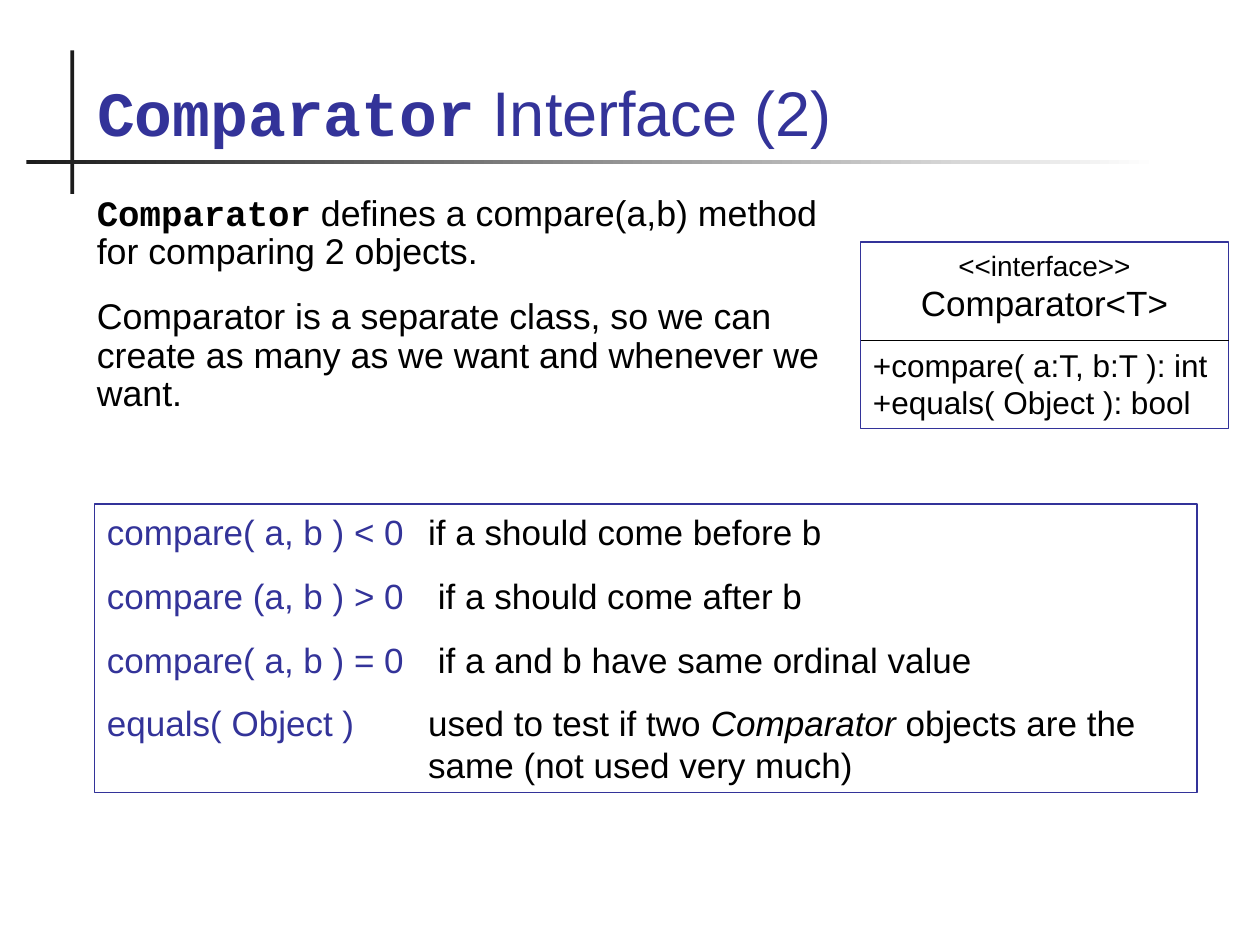
from dataclasses import dataclass

from lxml.etree import SubElement
from pptx import Presentation
from pptx.dml.color import RGBColor as Color
from pptx.enum.shapes import MSO_CONNECTOR as Connector, MSO_SHAPE as Shape
from pptx.enum.text import MSO_ANCHOR as Anchor, MSO_AUTO_SIZE as AutoSize, PP_ALIGN as Align
from pptx.oxml.ns import qn
from pptx.util import Inches, Pt


@dataclass(frozen=True)
class Theme:
    """Colours, typefaces and type sizes of the slide."""
    accent: Color = Color(0x33, 0x33, 0x99)
    ink: Color = Color(0, 0, 0)
    rule: Color = Color(0x1C, 0x1C, 0x1C)
    paper: Color = Color(0xFF, 0xFF, 0xFF)
    sans: str = "Arial"
    mono: str = "Courier New"
    title: float = 36
    body: float = 20.4
    text: float = 20
    member: float = 18
    stereotype: float = 16
    outline: float = 0.75


class SlideBuilder:
    """Draws styled elements on the current slide."""

    def __init__(self, slide, theme):
        self.slide, self.theme = slide, theme

    def bar(self, left, top, width, height, fades=False):
        """Add a thin bar, solid or fading to the right."""
        bar = self.slide.shapes.add_shape(Shape.RECTANGLE, *map(Inches, (left, top, width, height)))
        bar.shadow.inherit = False
        bar.line.fill.background()
        if fades:
            bar.fill.gradient()
            bar.fill.gradient_angle = 0
            for stop, color in zip(bar.fill.gradient_stops, (self.theme.rule, self.theme.paper)):
                stop.color.rgb = color
        else:
            bar.fill.solid()
            bar.fill.fore_color.rgb = self.theme.rule

    def paragraph(self, frame, parts, size, color=None, align=Align.LEFT,
                  before=0, after=0, spacing=1.0, hanging=None):
        """Add a paragraph of (text, style) parts to a frame."""
        first = not frame.paragraphs[0].runs
        paragraph = frame.paragraphs[0] if first else frame.add_paragraph()
        paragraph.alignment = align
        paragraph.line_spacing = spacing
        paragraph.space_before = Pt(0 if first else before)
        paragraph.space_after = Pt(after)
        if hanging:
            properties = paragraph._p.get_or_add_pPr()
            properties.set("marL", str(Inches(hanging)))
            properties.set("indent", str(-Inches(hanging)))
            tabs = SubElement(properties, qn("a:tabLst"))
            SubElement(tabs, qn("a:tab"), pos=str(Inches(hanging)), algn="l")
        paragraph.font.size = Pt(size)
        paragraph.font.color.rgb = color or self.theme.ink
        paragraph.font.name = self.theme.sans
        for text, style in parts:
            run = paragraph.add_run()
            run.text = text
            if "code" in style:
                run.font.name, run.font.bold = self.theme.mono, True
            if "italic" in style:
                run.font.italic = True
            if "accent" in style:
                run.font.color.rgb = self.theme.accent

    def title(self, left, top, width, height, parts):
        """Place and fill the title placeholder."""
        title = self.slide.shapes.title
        title.left, title.top, title.width, title.height = map(Inches, (left, top, width, height))
        frame = title.text_frame
        frame.vertical_anchor = Anchor.BOTTOM
        frame.auto_size = AutoSize.NONE
        self.paragraph(frame, parts, self.theme.title, self.theme.accent)

    def text(self, left, top, width, height):
        """Add a wrapping text box and return its frame."""
        frame = self.slide.shapes.add_textbox(*map(Inches, (left, top, width, height))).text_frame
        frame.word_wrap = True
        return frame

    def box(self, left, top, width, height):
        """Add an outlined box and return its frame."""
        box = self.slide.shapes.add_shape(Shape.RECTANGLE, *map(Inches, (left, top, width, height)))
        box.shadow.inherit = False
        box.fill.background()
        box.line.color.rgb = self.theme.accent
        box.line.width = Pt(self.theme.outline)
        box.text_frame.vertical_anchor = Anchor.TOP
        box.text_frame.word_wrap = True
        return box.text_frame

    def divider(self, left, top, width):
        """Add a horizontal line."""
        ends = map(Inches, (left, top, left + width, top))
        line = self.slide.shapes.add_connector(Connector.STRAIGHT, *ends)
        line.line.color.rgb = self.theme.ink
        line.line.width = Pt(self.theme.outline)
        SubElement(line._element.spPr, qn("a:effectLst"))


def main():
    """Build the Comparator slide."""
    deck = Presentation()
    deck.slide_width, deck.slide_height = Inches(10), Inches(7.5)
    theme = Theme()
    builder = SlideBuilder(deck.slides.add_slide(deck.slide_layouts[5]), theme)

    builder.bar(0.56, 0.4, 0.03, 1.14)
    builder.bar(0.21, 1.27, 8.99, 0.03, fades=True)
    builder.title(0.67, 0.28, 8.66, 0.95, [("Comparator", "code"), (" Interface (2)", "")])

    explanation = builder.text(0.67, 1.5, 6.08, 2)
    for parts in (
        [("Comparator", "code"), (" defines a compare(a,b) method for comparing 2 objects.", "")],
        [("Comparator is a separate class, so we can create as many as we want "
          "and whenever we want.", "")],
    ):
        builder.paragraph(explanation, parts, theme.body, before=15, spacing=0.9)

    class_left, class_width = 6.83, 2.92
    interface = builder.box(class_left, 1.92, class_width, 1.48)
    builder.paragraph(interface, [("<<interface>>", "")], theme.stereotype, align=Align.CENTER)
    builder.paragraph(interface, [("Comparator<T>", "")], theme.text, align=Align.CENTER, after=12.5)
    for member in ("+compare( a:T, b:T ): int", "+equals( Object ): bool"):
        builder.paragraph(interface, [(member, "")], theme.member)
    builder.divider(class_left, 2.7, class_width)

    contract = builder.box(0.75, 4, 8.75, 2.29)
    for call, *meaning in (
        ("compare( a, b ) < 0 \t", ("if a should come before b", "")),
        ("compare (a, b ) > 0\t", (" if a should come after b", "")),
        ("compare( a, b ) = 0\t", (" if a and b have same ordinal value", "")),
        ("equals( Object ) \t", ("used to test if two ", ""), ("Comparator", "italic"),
         (" objects are the same (not used very much)", "")),
    ):
        builder.paragraph(contract, [(call, "accent"), *meaning], theme.text,
                          before=12.5, hanging=2.55)

    deck.save("out.pptx")


if __name__ == "__main__":
    main()
